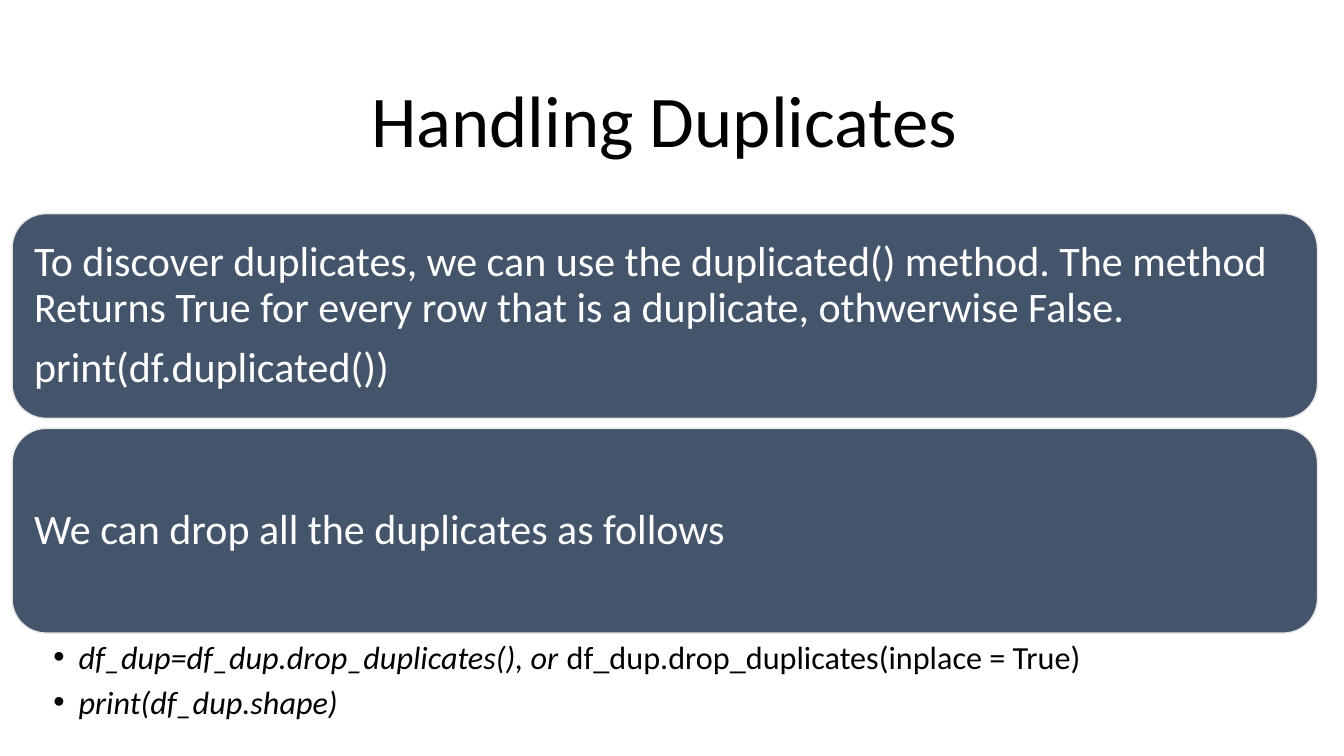
from lxml import etree
from pptx import Presentation
from pptx import util as u
from pptx.dml import color
from pptx.enum import shapes, text
from pptx.oxml import ns

COLORS = {"card": "44546A", "edge": "E7E6E6", "light": "FFFFFF", "dark": "000000"}
LEFT, WIDTH = 8.64, 932.4
CARD_TOP, CARD_HEIGHT, CARD_STEP = 152.64, 146.2, 153.4
CARDS = [
    [
        "To discover duplicates, we can use the duplicated() method. The method "
        "Returns True for every row that is a duplicate, othwerwise False.",
        "print(df.duplicated())",
    ],
    ["We can drop all the duplicates as follows"],
]
BULLETS = [
    [("df_dup=df_dup.drop_duplicates(), or ", True),
     ("df_dup.drop_duplicates(inplace = True)", False)],
    [("print(df_dup.shape)", True)],
]


class SlideBuilder:
    """Hold the text style and the current slide, and add its elements."""

    def __init__(self, page, font="Calibri"):
        self.page = page
        self.font = font

    def rgb(self, name):
        return color.RGBColor.from_string(COLORS[name])

    def style(self, span, size, shade, italic=False):
        span.font.name = self.font
        span.font.size = u.Pt(size)
        span.font.color.rgb = self.rgb(shade)
        span.font.italic = italic

    def frame(self, box, margins, anchor):
        frame = box.text_frame
        frame.word_wrap = True
        frame.vertical_anchor = anchor
        sides = ("margin_left", "margin_top", "margin_right", "margin_bottom")
        for side, margin in zip(sides, margins):
            setattr(frame, side, u.Pt(margin))
        return frame

    def textbox(self, left, top, width, height, margins, anchor):
        box = self.page.shapes.add_textbox(*map(u.Pt, (left, top, width, height)))
        return self.frame(box, margins, anchor)

    def title(self, words):
        frame = self.textbox(66.24, 43.92, 828, 89.28, (7.2, 3.6, 7.2, 3.6),
                             text.MSO_ANCHOR.MIDDLE)
        frame.text = words
        para = frame.paragraphs[0]
        para.alignment = text.PP_ALIGN.CENTER
        para.line_spacing = 0.9
        self.style(para.runs[0], 52, "dark")

    def card(self, top, lines):
        box = self.page.shapes.add_shape(
            shapes.MSO_SHAPE.ROUNDED_RECTANGLE,
            *map(u.Pt, (LEFT, top, WIDTH, CARD_HEIGHT)))
        box.shadow.inherit = False
        box.fill.solid()
        box.fill.fore_color.rgb = self.rgb("card")
        box.line.color.rgb = self.rgb("edge")
        box.line.width = u.Pt(1)
        frame = self.frame(box, [8.64] * 4, text.MSO_ANCHOR.MIDDLE)
        frame.text = "\n".join(lines)
        for para in frame.paragraphs:
            para.alignment = text.PP_ALIGN.LEFT
            para.line_spacing = 0.9
            para.space_after = u.Pt(10.5)
            self.style(para.runs[0], 30, "light")

    def bullets(self, top, items):
        frame = self.textbox(LEFT, top, WIDTH, 68.4, (29.52, 2.88, 16.56, 2.88),
                             text.MSO_ANCHOR.TOP)
        for index, parts in enumerate(items):
            para = frame.add_paragraph() if index else frame.paragraphs[0]
            para.space_after = u.Pt(4.6)
            for words, italic in parts:
                span = para.add_run()
                span.text = words
                self.style(span, 23, "dark", italic)
            props = para._p.get_or_add_pPr()
            props.set("marL", str(u.Pt(18)))
            props.set("indent", str(u.Pt(-18)))
            etree.SubElement(props, ns.qn("a:buFont")).set("typeface", "Arial")
            etree.SubElement(props, ns.qn("a:buChar")).set("char", "•")


def main():
    deck = Presentation()
    deck.slide_width, deck.slide_height = u.Pt(960), u.Pt(540)
    builder = SlideBuilder(deck.slides.add_slide(deck.slide_layouts[6]))
    builder.title("Handling Duplicates ")
    for index, lines in enumerate(CARDS):
        builder.card(CARD_TOP + index * CARD_STEP, lines)
    builder.bullets(452.16, BULLETS)
    deck.save("out.pptx")


if __name__ == "__main__":
    main()
